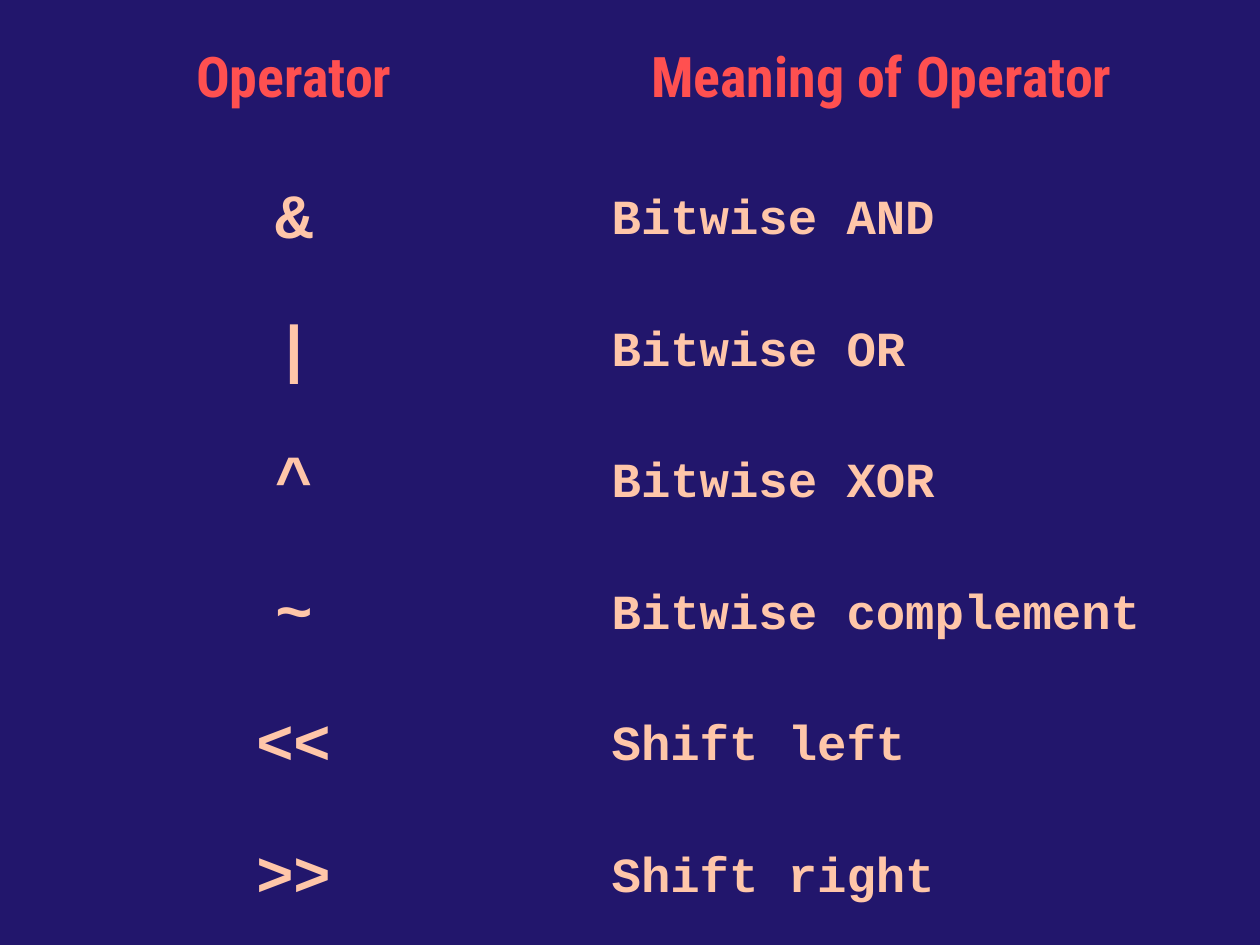
from pptx import Presentation
from pptx.dml.color import RGBColor
from pptx.enum.text import MSO_ANCHOR, PP_ALIGN
from pptx.util import Inches, Pt

HEAD = ("Operator", "Meaning of Operator")
ROWS = [
    ("&", "Bitwise AND"),
    ("|", "Bitwise OR"),
    ("^", "Bitwise XOR"),
    ("~", "Bitwise complement"),
    ("<<", "Shift left"),
    (">>", "Shift right"),
]
NAVY, CORAL, PEACH = "22166C", "FF5050", "FFC6A9"
WIDTH, HEIGHT, TOP = 9.33, 7.5, 1.24
PLAIN = "{2D5ABB26-0587-4C30-8999-92F81FD0307C}"
MID, LEFT = PP_ALIGN.CENTER, PP_ALIGN.LEFT
HEAD_LOOK = [("Roboto Condensed", 32, CORAL, MID)] * 2
BODY_LOOK = [("Courier New", 36, PEACH, MID), ("Courier New", 28, PEACH, LEFT)]


def paint(fmt, color):
    fmt.solid()
    fmt.fore_color.rgb = RGBColor.from_string(color)


def write(cell, text, look):
    face, size, color, align = look
    paint(cell.fill, NAVY)
    cell.vertical_anchor = MSO_ANCHOR.MIDDLE
    cell.margin_left = cell.margin_right = Inches(0.19)
    cell.margin_top = cell.margin_bottom = Inches(0.09)
    cell.text = text
    para = cell.text_frame.paragraphs[0]
    para.alignment = align
    font = para.font
    font.name, font.size, font.bold = face, Pt(size), True
    paint(font.fill, color)


def main():
    deck = Presentation()
    deck.slide_width, deck.slide_height = Inches(10), Inches(HEIGHT)
    slide = deck.slides.add_slide(deck.slide_layouts[6])
    paint(slide.background.fill, NAVY)

    lines = [HEAD] + ROWS
    frame = slide.shapes.add_table(
        len(lines), len(HEAD), 0, 0, Inches(WIDTH), Inches(HEIGHT))
    table = frame.table
    table.first_row = table.horz_banding = False
    table._tbl.tblPr[0].text = PLAIN
    for col in table.columns:
        col.width = Inches(WIDTH / len(HEAD))
    for r, line in enumerate(lines):
        high = (HEIGHT - TOP) / len(ROWS) if r else TOP
        table.rows[r].height = Inches(high)
        looks = BODY_LOOK if r else HEAD_LOOK
        for c, (text, look) in enumerate(zip(line, looks)):
            write(table.cell(r, c), text, look)
    deck.save("out.pptx")


if __name__ == "__main__":
    main()
